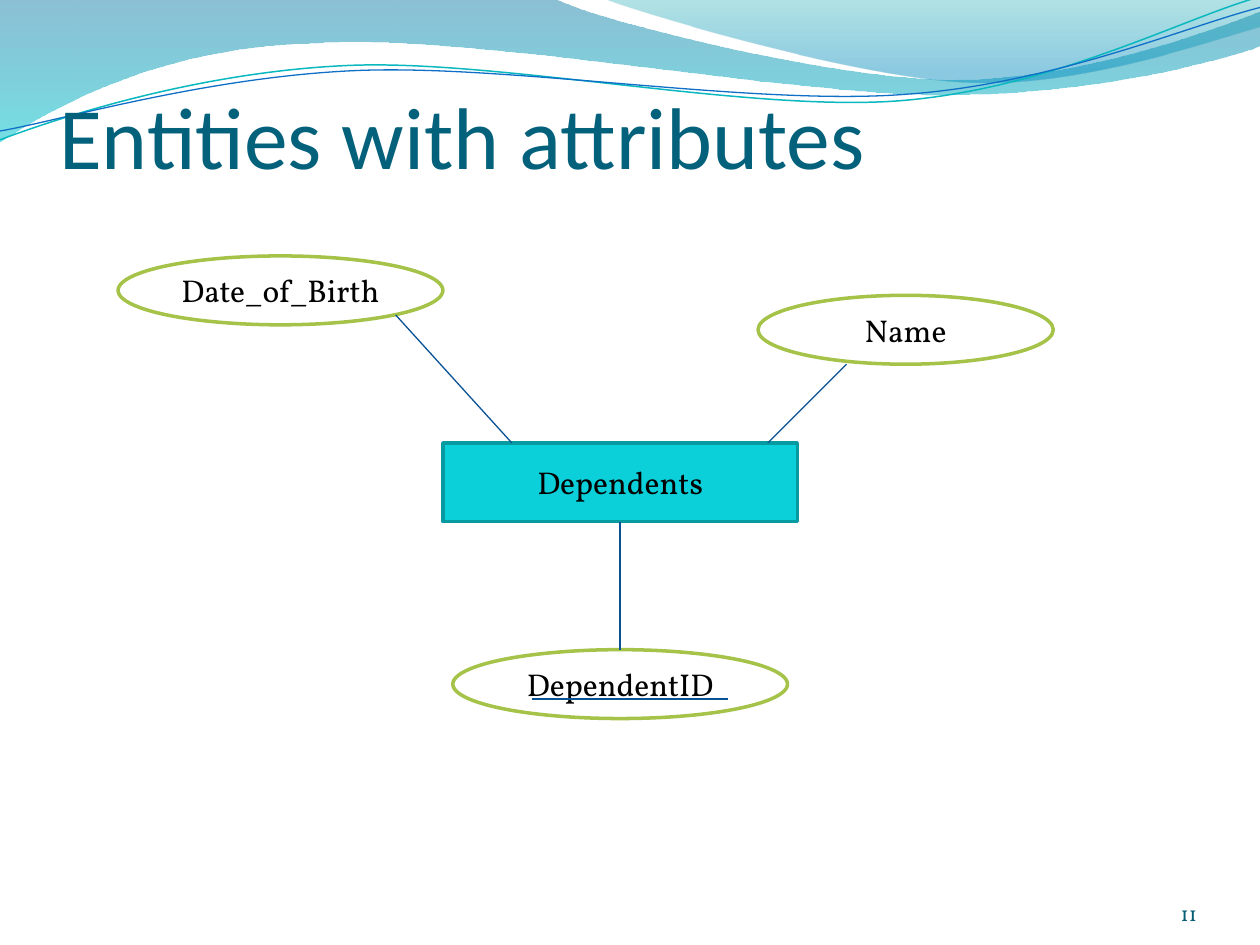
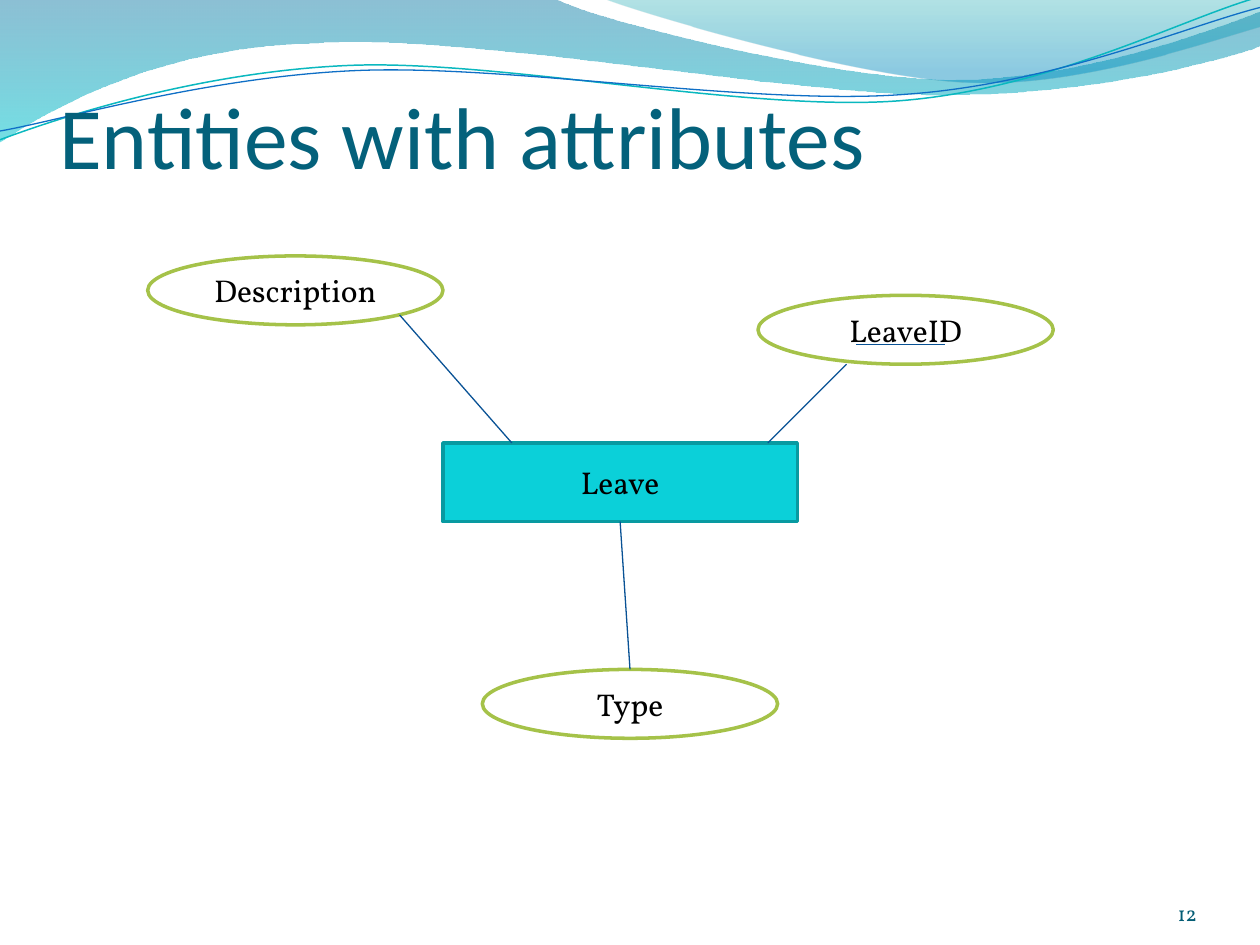
from math import cos, radians, sin
from lxml import etree
from pptx import Presentation
from pptx.dml.color import RGBColor
from pptx.enum.shapes import MSO_CONNECTOR, MSO_SHAPE
from pptx.enum.text import MSO_ANCHOR, MSO_AUTO_SIZE, PP_ALIGN
from pptx.oxml.ns import qn
from pptx.util import Inches, Pt

RECT, OVAL = MSO_SHAPE.RECTANGLE, MSO_SHAPE.OVAL
LINE = MSO_CONNECTOR.STRAIGHT
MID, LOW = MSO_ANCHOR.MIDDLE, MSO_ANCHOR.BOTTOM
LEFT, MIDST, RIGHT = PP_ALIGN.LEFT, PP_ALIGN.CENTER, PP_ALIGN.RIGHT
FIXED = MSO_AUTO_SIZE.NONE

deck = Presentation()
deck.slide_width, deck.slide_height = Inches(10), Inches(7.5)
UNIT = deck.slide_width / 128
HEAD, BODY = "Calibri", "Vollkorn"
TILT = 2.7


def paint(part, code):
    if hasattr(part, "solid"):
        part.solid()
        part = part.fore_color
    elif hasattr(part, "color"):
        part = part.color
    part.rgb = RGBColor.from_string(code)


def write(shape, text, font, size, code, align, anchor):
    frame = shape.text_frame
    frame.vertical_anchor = anchor
    para = frame.paragraphs[0]
    para.alignment = align
    run = para.add_run()
    run.text = text
    run.font.name, run.font.size = font, Pt(size)
    paint(run.font, code)
    return frame


BANDS = [
    ([[(0, 0)],
      [(4.4, -0.01)],
      [(4.76, 0.17), (6.64, 0.63), (7.58, 0.63)],
      [(8.53, 0.63), (9.58, 0.26), (10, 0.09)],
      [(10.01, 0.36)],
      [(9.83, 0.44), (8.7, 0.76), (7.46, 0.75)],
      [(6.22, 0.75), (3.82, 0.28), (2.57, 0.34)],
      [(1.29, 0.36), (0.46, 0.83), (-0.01, 1.13)],
      [(0, 0)]],
     [(0, "0074A1", 45), (1, "00C6CF", 55)], None),
    ([[(4.79, -0.01)],
      [(5.09, 0.11), (6.82, 0.62), (7.69, 0.65)],
      [(8.56, 0.69), (9.61, 0.32), (10, 0.21)],
      [(10, 0)],
      [(4.79, -0.01)]],
     [(0, "00A1A9", 30), (0.8, "008BBF", 45)], None),
    ([[(0, 1.11)],
      [(0.48, 0.93), (1.58, 0.57), (2.77, 0.52)],
      [(3.95, 0.47), (5.93, 0.89), (7.13, 0.8)],
      [(8.33, 0.71), (9.38, 0.15), (9.98, -0.02)]],
     None, ("0AB8BF", 0.85, 4.99, 0.57)),
    ([[(0, 1.04)],
      [(0.47, 0.96), (1.64, 0.61), (2.83, 0.56)],
      [(4.03, 0.51), (5.97, 0.84), (7.17, 0.75)],
      [(8.36, 0.67), (9.41, 0.21), (10, 0.06)]],
     None, ("0F6FC6", 0.75, 5, 0.59)),
]

PAGES = [
    ("11", "Dependents",
     [("Name", 77, 30, 30), ("Date_of_Birth", 12, 26, 33),
      ("DependentID", 46, 66, 34)],
     [(78, 45, 86, 37), (52, 45, 40.2, 32), (63, 53, 63, 66),
      (54, 71, 74, 71)]),
    ("12", "Leave",
     [("LeaveID", 77, 30, 30), ("Description", 15, 26, 30),
      ("Type", 49, 68, 30)],
     [(78, 45, 86, 37), (52, 45, 40.6, 32), (63, 53, 64, 68),
      (87, 35, 96, 35)]),
]

layout = deck.slide_layouts[5]
tree = deck.slide_master.shapes.element
slides = [deck.slides.add_slide(layout) for page in PAGES]

for rank, (parts, stops, edge) in enumerate(BANDS):
    dots = [dot for part in parts for dot in part]
    if edge:
        code, width, midx, midy = edge
        c, s = cos(radians(TILT)), sin(radians(TILT))
        dots = [(midx + (x - midx) * c - (y - midy) * s,
                 midy + (x - midx) * s + (y - midy) * c) for x, y in dots]
    dots = [(x * 1000, y * 1000) for x, y in dots]
    pen = slides[0].shapes.build_freeform(*dots[0], scale=Inches(1) / 1000)
    pen.add_line_segments(dots[1:], close=bool(stops))
    band = pen.convert_to_shape()
    band.shadow.inherit = False
    legs = list(band.element.iter(qn("a:lnTo")))
    for part in parts[1:]:
        group, legs = legs[:len(part)], legs[len(part):]
        if len(group) == 3:
            curve = etree.Element(qn("a:cubicBezTo"))
            group[0].addprevious(curve)
            for leg in group:
                curve.append(leg[0])
                leg.getparent().remove(leg)
    if stops:
        band.fill.gradient()
        band.fill.gradient_angle = 270
        for stop, (place, code, alpha) in zip(band.fill.gradient_stops, stops):
            stop.position = place
            paint(stop, code)
        for node, stop in zip(band.element.iter(qn("a:srgbClr")), stops):
            etree.SubElement(node, qn("a:alpha"), val=str(stop[2] * 1000))
        band.line.fill.background()
    else:
        band.rotation = 360 - TILT
        band.fill.background()
        paint(band.line, code)
        band.line.width = Pt(width)
    band.element.nvSpPr.cNvPr.set("id", str(50 + rank))
    tree.insert(2 + rank, band.element)

for slide, (page, name, fields, links) in zip(slides, PAGES):
    shapes = slide.shapes
    title = shapes.title
    title.left, title.top, title.width, title.height = [
        int(n * UNIT) for n in (6, 3, 115.2, 16)]
    frame = write(title, "Entities with attributes", HEAD, 50, "04617B", LEFT, LOW)
    frame.auto_size = FIXED
    frame.margin_left = frame.margin_right = frame.margin_bottom = 0
    frame.margin_top = Inches(0.05)

    nodes = [(RECT, name, (45, 45, 36, 8), "0BD0D9", "089AA1")]
    nodes += [(OVAL, text, (x, y, wide, 7), "FFFFFF", "A5C249")
              for text, x, y, wide in fields]
    for kind, text, box, fill, edge in nodes:
        node = shapes.add_shape(kind, *[int(n * UNIT) for n in box])
        node.shadow.inherit = False
        paint(node.fill, fill)
        paint(node.line, edge)
        node.line.width = Pt(2)
        write(node, text, BODY, 18, "000000", MIDST, MID).word_wrap = False

    for link in links:
        line = shapes.add_connector(LINE, *[int(n * UNIT) for n in link])
        paint(line.line, "095295")
        line.line.width = Pt(0.75)
        etree.SubElement(line.element.spPr, qn("a:effectLst"))

    foot = shapes.add_textbox(*[int(n * UNIT) for n in (111, 89, 10.6, 5)])
    frame = write(foot, page, BODY, 12, "045D75", RIGHT, LOW)
    frame.word_wrap = True
    frame.margin_left = frame.margin_right = 0
    frame.margin_top = frame.margin_bottom = 0

deck.save("out.pptx")
